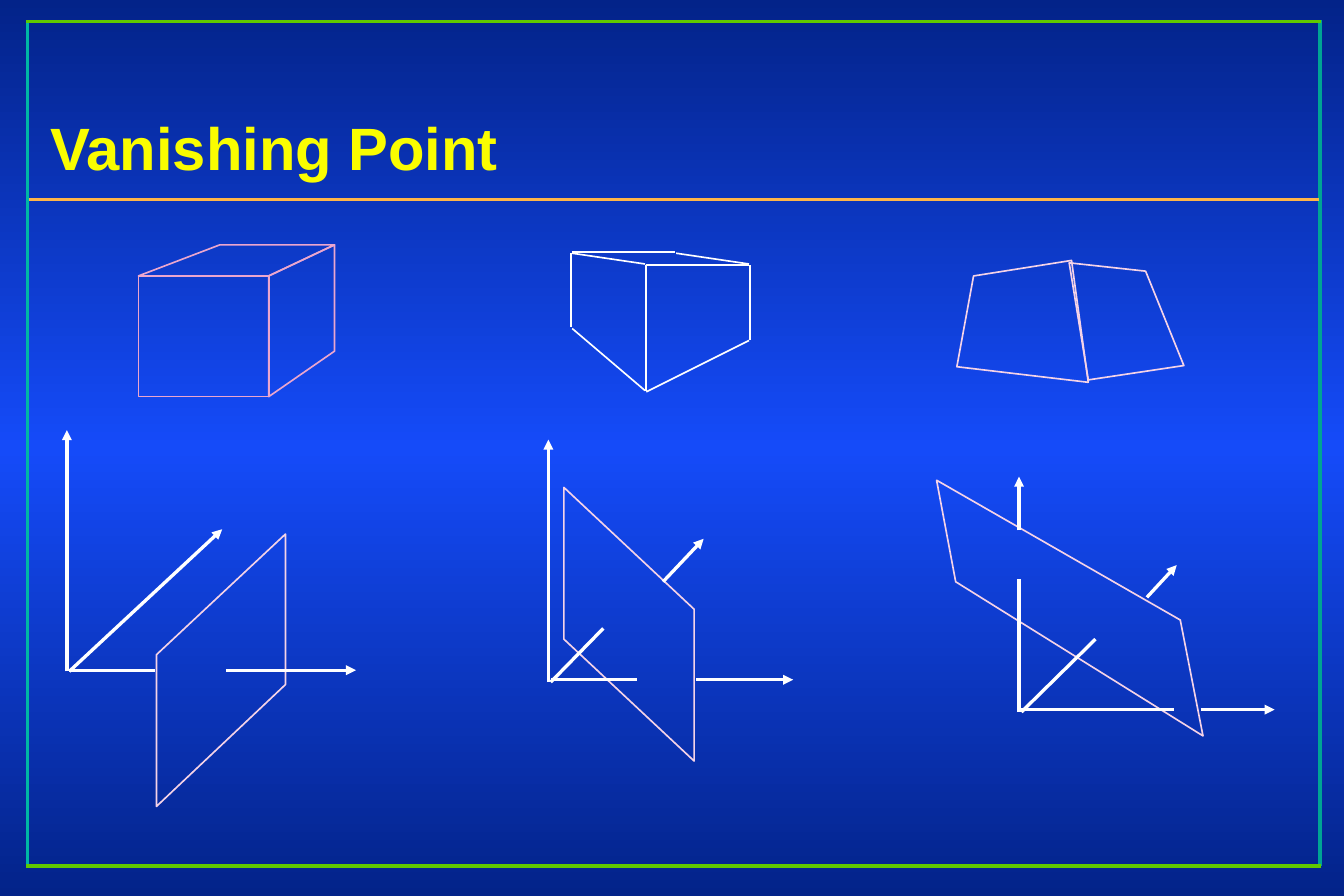
from copy import deepcopy

from pptx import Presentation
from pptx.dml.color import RGBColor
from pptx.enum.text import MSO_ANCHOR, MSO_AUTO_SIZE, PP_ALIGN
from pptx.enum.shapes import MSO_CONNECTOR
from pptx.oxml.ns import qn
from pptx.oxml.xmlchemy import OxmlElement
from pptx.util import Inches, Pt

NAVY = RGBColor(0x03, 0x23, 0x89)
BLUE = RGBColor(0x15, 0x4B, 0xF9)
YELLOW = RGBColor(0xFA, 0xFD, 0x00)
GREEN = RGBColor(0x60, 0xC9, 0x00)
TEAL_RIGHT = RGBColor(0x00, 0xA4, 0x94)
TEAL_LEFT = RGBColor(0x00, 0xB7, 0xA5)
ORANGE = RGBColor(0xFF, 0xB5, 0x49)
WHITE = RGBColor(0xFF, 0xFF, 0xFF)
ROSE = RGBColor(0xEB, 0xA6, 0xCE)
PALE_PINK = RGBColor(0xF5, 0xD3, 0xE7)

TITLE = "Vanishing Point"

# Each line: start, end, colour
FRAME = [
    ((11.05, 0.17), (11.05, 7.25), TEAL_RIGHT),
    ((0.23, 0.17), (0.23, 7.26), TEAL_LEFT),
    ((11.06, 7.25), (0.22, 7.25), GREEN),
    ((0.22, 0.18), (11.06, 0.18), GREEN),
    ((0.24, 1.67), (11.04, 1.67), ORANGE),
]

# Cube faces for one and three vanishing points
ONE_POINT_FACES = [
    [(1.16, 2.31), (1.16, 3.32), (2.25, 3.32), (2.25, 2.31)],
    [(2.25, 3.32), (2.8, 2.94), (2.8, 2.05), (2.25, 2.31)],
    [(1.16, 2.31), (2.25, 2.31), (2.8, 2.05), (1.84, 2.05)],
]
THREE_POINT_FACES = [
    [(9.11, 3.2), (8.01, 3.07), (8.15, 2.31), (8.97, 2.18)],
    [(8.95, 2.2), (9.59, 2.27), (9.91, 3.06), (9.11, 3.18)],
]
TWO_POINT_EDGES = [
    ((5.41, 2.22), (5.41, 3.27)),
    ((4.78, 2.12), (4.78, 2.74)),
    ((6.28, 2.22), (6.28, 2.85)),
    ((4.79, 2.12), (5.4, 2.21)),
    ((4.79, 2.75), (5.4, 3.27)),
    ((5.41, 2.22), (6.27, 2.22)),
    ((5.41, 3.28), (6.27, 2.85)),
    ((4.79, 2.11), (5.65, 2.11)),
    ((5.66, 2.12), (6.27, 2.21)),
]

PROJECTION_PLANES = [
    [(2.39, 5.73), (1.31, 6.75), (1.31, 5.48), (2.39, 4.47)],
    [(4.72, 5.35), (5.81, 6.37), (5.81, 5.1), (4.72, 4.08)],
    [(10.07, 6.16), (8, 4.87), (7.84, 4.02), (9.88, 5.19)],
]

# Axis parts in front of and behind the planes
AXIS_ARROWS = [
    ((0.56, 5.62), (0.56, 3.6)),
    ((0.58, 5.62), (1.86, 4.43)),
    ((1.89, 5.61), (2.98, 5.61)),
    ((4.59, 5.71), (4.59, 3.68)),
    ((5.55, 4.87), (5.89, 4.51)),
    ((5.83, 5.69), (6.64, 5.69)),
    ((8.53, 4.44), (8.53, 3.99)),
    ((9.6, 5), (9.85, 4.73)),
    ((10.05, 5.94), (10.67, 5.94)),
]
AXIS_STEMS = [
    ((0.58, 5.61), (1.3, 5.61)),
    ((4.61, 5.69), (5.33, 5.69)),
    ((4.61, 5.71), (5.05, 5.26)),
    ((8.53, 5.96), (8.53, 4.85)),
    ((8.55, 5.96), (9.17, 5.35)),
    ((8.55, 5.94), (9.83, 5.94)),
]


def add_line(shapes, start, end, color, width=2, arrow=False):
    ends = [Inches(value) for value in (*start, *end)]
    line = shapes.add_connector(MSO_CONNECTOR.STRAIGHT, *ends)
    line.line.color.rgb = color
    line.line.width = Pt(width)
    if arrow:
        head = OxmlElement("a:tailEnd")
        head.set("type", "triangle")
        line.line._get_or_add_ln().append(head)
    line._element.spPr.append(OxmlElement("a:effectLst"))


def add_outline(shapes, corners, color):
    first, *rest = [(Inches(x), Inches(y)) for x, y in corners]
    builder = shapes.build_freeform(*first)
    builder.add_line_segments(rest, close=True)
    outline = builder.convert_to_shape()
    outline.shadow.inherit = False
    outline.fill.background()
    outline.line.color.rgb = color
    outline.line.width = Pt(1)


def paint_background(slide):
    """Blend from navy through blue and back to navy, top to bottom."""
    fill = slide.background.fill
    fill.gradient()
    fill.gradient_angle = 90
    stop_list = slide._element.find(".//" + qn("a:gsLst"))
    stop_list.append(deepcopy(stop_list[-1]))
    for stop, color, position in zip(fill.gradient_stops, (NAVY, BLUE, NAVY), (0, 0.5, 1)):
        stop.color.rgb = color
        stop.position = position


def write_title(title):
    title.left, title.top = Inches(0.32), Inches(0.33)
    title.width, title.height = Inches(9.1), Inches(1.25)
    frame = title.text_frame
    frame.auto_size = MSO_AUTO_SIZE.NONE
    frame.word_wrap = True
    frame.vertical_anchor = MSO_ANCHOR.BOTTOM
    paragraph = frame.paragraphs[0]
    paragraph.alignment = PP_ALIGN.LEFT
    paragraph.line_spacing = 1.04
    run = paragraph.add_run()
    run.text = TITLE
    run.font.name = "Arial"
    run.font.size = Pt(36)
    run.font.bold = True
    run.font.color.rgb = YELLOW


def main():
    deck = Presentation()
    deck.slide_width, deck.slide_height = Inches(11.25), Inches(7.5)
    slide = deck.slides.add_slide(deck.slide_layouts[5])
    shapes = slide.shapes
    paint_background(slide)
    write_title(shapes.title)

    for start, end, color in FRAME:
        add_line(shapes, start, end, color)

    for faces, color in ((ONE_POINT_FACES, ROSE), (THREE_POINT_FACES, PALE_PINK)):
        cube = shapes.add_group_shape()
        for face in faces:
            add_outline(cube.shapes, face, color)
    two_point_cube = shapes.add_group_shape()
    for start, end in TWO_POINT_EDGES:
        add_line(two_point_cube.shapes, start, end, WHITE, width=1)

    for plane in PROJECTION_PLANES:
        add_outline(shapes, plane, PALE_PINK)
    for start, end in AXIS_STEMS:
        add_line(shapes, start, end, WHITE)
    for start, end in AXIS_ARROWS:
        add_line(shapes, start, end, WHITE, arrow=True)

    deck.save("out.pptx")


if __name__ == "__main__":
    main()
